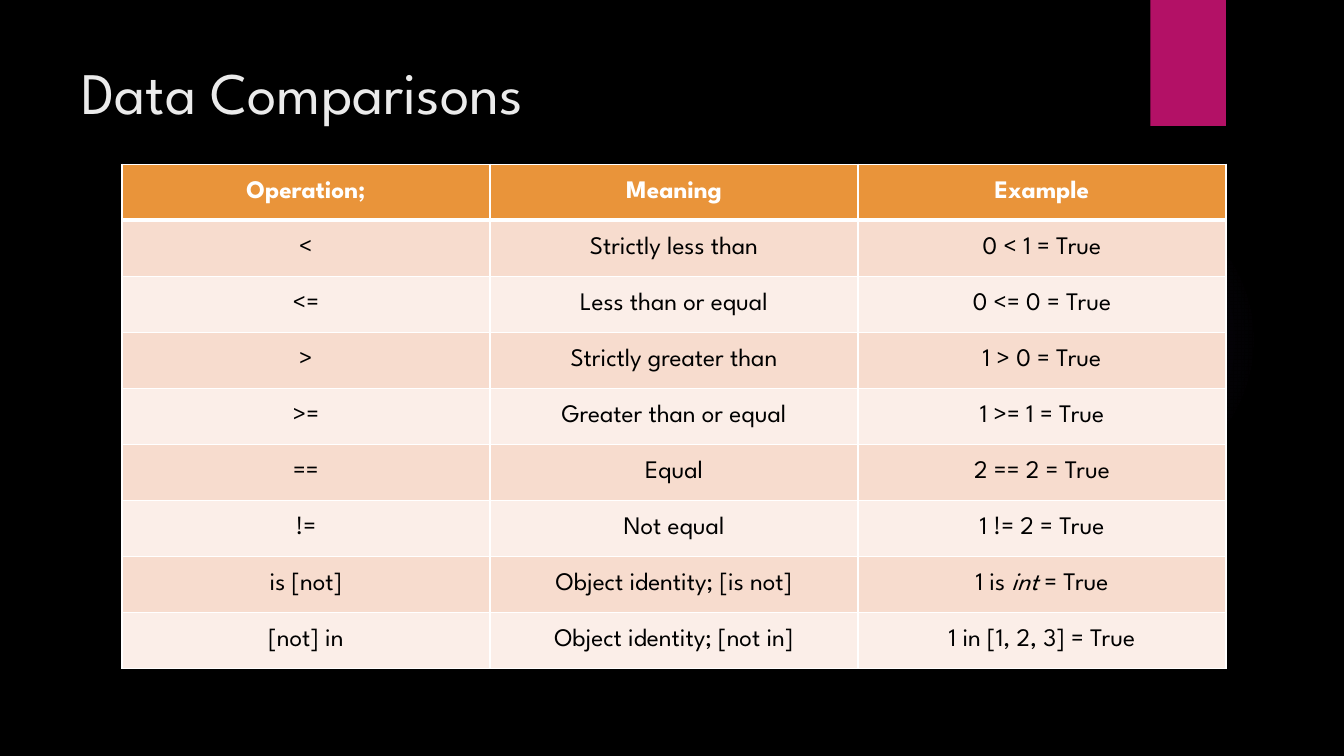
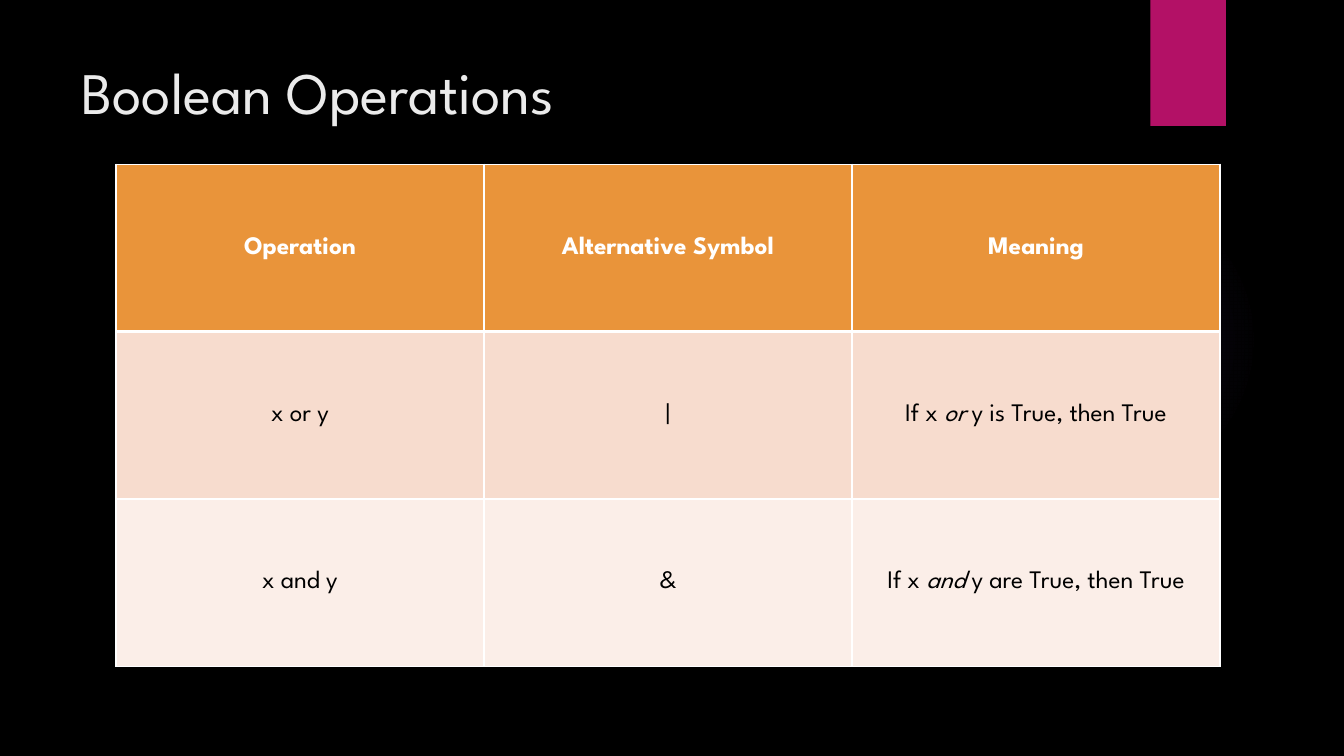
from lxml.etree import SubElement
from pptx import Presentation
from pptx.dml.color import RGBColor
from pptx.enum.shapes import MSO_SHAPE
from pptx.enum.text import MSO_ANCHOR, PP_ALIGN
from pptx.oxml import parse_xml
from pptx.oxml.ns import nsdecls, qn
from pptx.util import Inches, Pt

FONT = "League Spartan"
BLACK = RGBColor(0x00, 0x00, 0x00)
WHITE = RGBColor(0xFF, 0xFF, 0xFF)
TITLE = RGBColor(0xEB, 0xEB, 0xEB)
MAGENTA = RGBColor(0xB3, 0x11, 0x66)
VIOLET = RGBColor(0x9B, 0x6B, 0xF2)
ORANGE = RGBColor(0xE9, 0x94, 0x3A)
PEACH = RGBColor(0xF7, 0xDC, 0xCE)
CREAM = RGBColor(0xFB, 0xEE, 0xE8)

SLIDES = [
    ("Data Comparisons", 1.21, 5, [
        ("Operation;", "Meaning", "Example"),
        ("<", "Strictly less than", "0 < 1 = True"),
        ("<=", "Less than or equal", "0 <= 0 = True"),
        (">", "Strictly greater than", "1 > 0 = True"),
        (">=", "Greater than or equal", "1 >= 1 = True"),
        ("==", "Equal", "2 == 2 = True"),
        ("!=", "Not equal", "1 != 2 = True"),
        ("is [not]", "Object identity; [is not]", "1 is *int* = True"),
        ("[not] in", "Object identity; [not in]", "1 in [1, 2, 3] = True"),
    ]),
    ("Boolean Operations", 1.15, 4.98, [
        ("Operation", "Alternative Symbol", "Meaning"),
        ("x or y", "|", "If x *or *y is True, then True"),
        ("x and y", "&", "If x *and *y are True, then True"),
    ]),
]


def write(text, tf, size=18, color=BLACK, bold=False, align=PP_ALIGN.LEFT):
    p = tf.paragraphs[0]
    p.alignment = align
    for i, part in enumerate(text.split("*")):
        r = p.add_run()
        r.text = part
        r.font.name = FONT
        r.font.size = Pt(size)
        r.font.color.rgb = color
        r.font.bold = bold
        r.font.italic = i % 2 == 1


def set_borders(cell, top, bottom):
    tcPr = cell._tc.get_or_add_tcPr()
    widths = {"lnL": 1, "lnR": 1, "lnT": top, "lnB": bottom}
    for i, (side, width) in enumerate(widths.items()):
        ln = parse_xml(f'<a:{side} {nsdecls("a")} w="{Pt(width)}"><a:solidFill>'
                       f'<a:srgbClr val="{WHITE}"/></a:solidFill></a:{side}>')
        tcPr.insert(i, ln)


prs = Presentation()
prs.slide_width = Inches(13.33)
prs.slide_height = Inches(7.5)
fill = prs.slide_master.background.fill
fill.solid()
fill.fore_color.rgb = BLACK

for title, left, height, rows in SLIDES:
    s = prs.slides.add_slide(prs.slide_layouts[6])

    glow = s.shapes.add_shape(MSO_SHAPE.OVAL, Inches(9.41), Inches(1.83), Inches(3.08), Inches(3.08))
    glow.shadow.inherit = False
    glow.line.fill.background()
    glow.fill.gradient()
    grad = glow._element.spPr.find(qn("a:gradFill"))
    for child in list(grad):
        grad.remove(child)
    stops = SubElement(grad, qn("a:gsLst"))
    for pos, alpha in ((0, 7), (36, 6), (69, 0)):
        gs = SubElement(stops, qn("a:gs"), pos=str(pos * 1000))
        clr = SubElement(gs, qn("a:srgbClr"), val=str(VIOLET))
        SubElement(clr, qn("a:alpha"), val=str(alpha * 1000))
    circle = SubElement(grad, qn("a:path"), {"path": "circle"})
    SubElement(circle, qn("a:fillToRect"), l="50000", t="50000", r="50000", b="50000")

    tab = s.shapes.add_shape(MSO_SHAPE.RECTANGLE, Inches(11.41), 0, Inches(0.75), Inches(1.25))
    tab.shadow.inherit = False
    tab.line.fill.background()
    tab.fill.solid()
    tab.fill.fore_color.rgb = MAGENTA

    tf = s.shapes.add_textbox(Inches(0.71), Inches(0.5), Inches(10.29), Inches(1.14)).text_frame
    tf.word_wrap = True
    write(title, tf, size=42, color=TITLE)

    table = s.shapes.add_table(len(rows), 3, Inches(left), Inches(1.63),
                               Inches(10.95), Inches(height)).table
    for i, row in enumerate(rows):
        header = i == 0
        for j, text in enumerate(row):
            cell = table.cell(i, j)
            cell.vertical_anchor = MSO_ANCHOR.MIDDLE
            cell.fill.solid()
            cell.fill.fore_color.rgb = ORANGE if header else (CREAM, PEACH)[i % 2]
            set_borders(cell, top=3 if i == 1 else 1, bottom=3 if header else 1)
            write(text, cell.text_frame, color=WHITE if header else BLACK,
                  bold=header, align=PP_ALIGN.CENTER)

prs.save("out.pptx")
